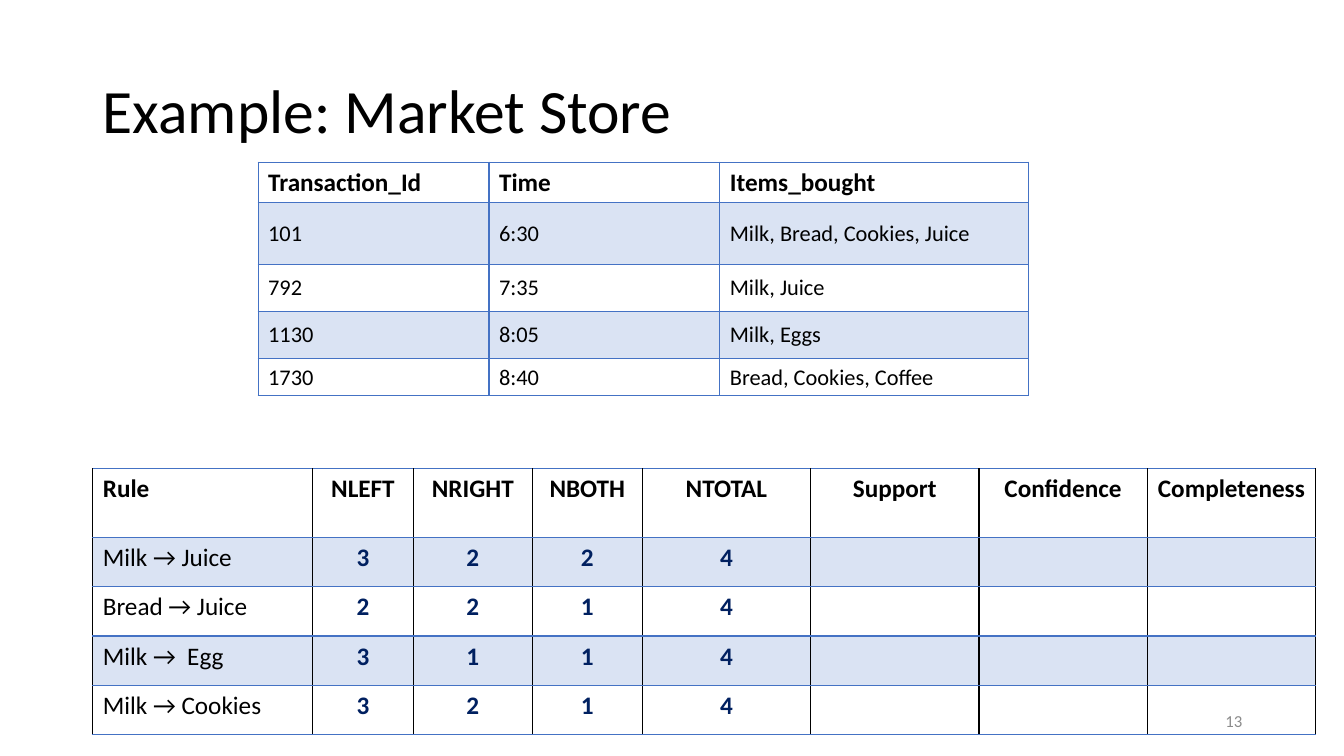
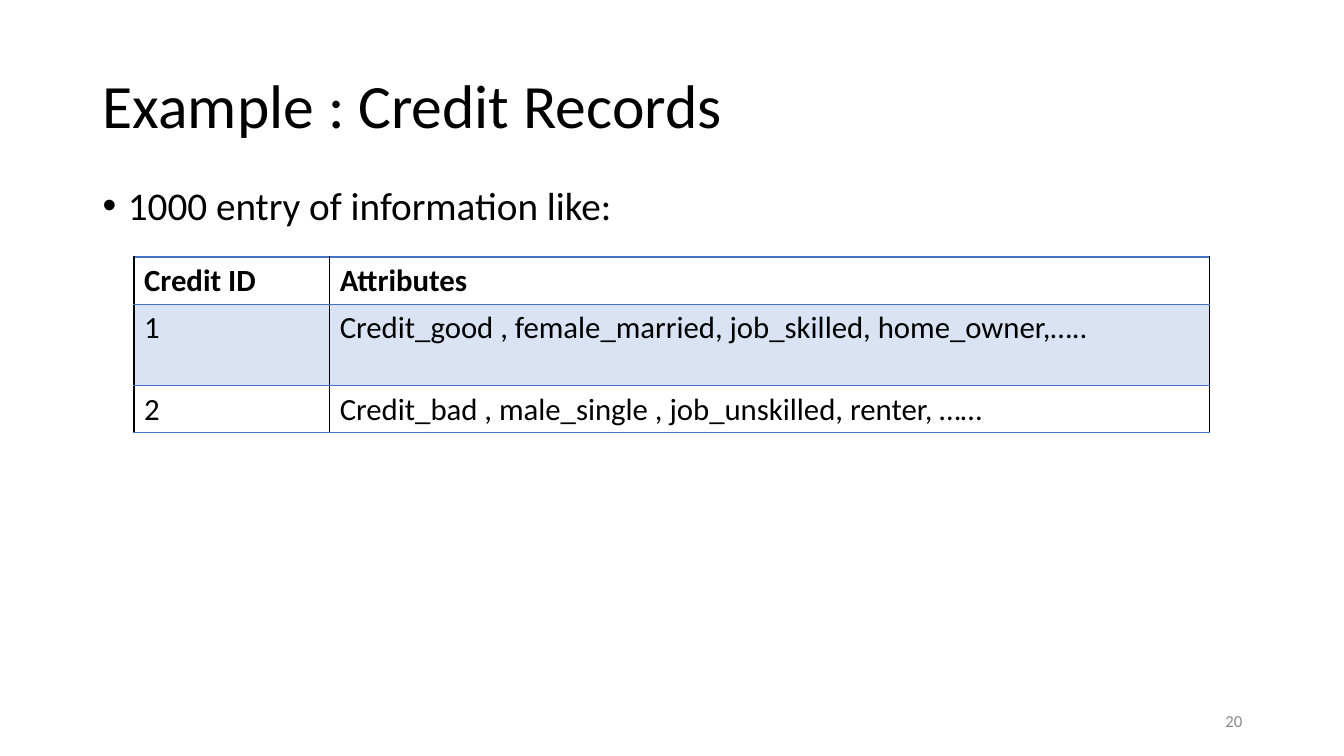
from dataclasses import dataclass

from lxml.etree import SubElement
from pptx import Presentation
from pptx.dml.color import RGBColor
from pptx.enum.text import MSO_ANCHOR, PP_ALIGN
from pptx.oxml.ns import qn
from pptx.util import Inches, Pt


@dataclass(frozen=True)
class Theme:
    font: str = "Calibri"
    ink: str = "000000"
    accent: str = "4472C4"
    band: str = "DAE3F3"
    count: str = "002060"
    muted: str = "8B8B8B"
    title_size: int = 44
    body_size: int = 28
    number_size: int = 12
    border: float = 0.96


theme = Theme()


def add_text(slide, text, box, size, color=theme.ink, align=PP_ALIGN.LEFT,
             anchor=MSO_ANCHOR.MIDDLE, spacing=None, bullet=None):
    frame = slide.shapes.add_textbox(*map(Inches, box)).text_frame
    frame.word_wrap = True
    frame.vertical_anchor = anchor
    paragraph = frame.paragraphs[0]
    paragraph.text = text
    paragraph.alignment = align
    paragraph.line_spacing = spacing
    if bullet:
        properties = paragraph._p.get_or_add_pPr()
        properties.set("marL", str(Inches(0.25)))
        properties.set("indent", str(-Inches(0.25)))
        SubElement(properties, qn("a:buFont"), typeface="Arial")
        SubElement(properties, qn("a:buChar"), char=bullet)
    paragraph.font.name = theme.font
    paragraph.font.size = Pt(size)
    paragraph.font.color.rgb = RGBColor.from_string(color)


def add_data_table(slide, left, top, widths, heights, rows, head_size, size,
                   anchor=MSO_ANCHOR.TOP, divider=theme.ink, counts=False):
    """Add a banded table; counts centres and emphasises all but the first column."""
    table = slide.shapes.add_table(
        len(rows), len(widths), Inches(left), Inches(top),
        Inches(sum(widths)), Inches(sum(heights))).table
    table.first_row = table.horz_banding = False
    for column, width in zip(table.columns, widths):
        column.width = Inches(width)
    for r, (row, height) in enumerate(zip(rows, heights)):
        table.rows[r].height = Inches(height)
        for c, text in enumerate(row):
            cell = table.cell(r, c)
            cell.vertical_anchor = anchor
            # Borders go ahead of the fill
            for edge, color in (("lnL", divider), ("lnR", divider),
                                ("lnT", theme.accent), ("lnB", theme.accent)):
                line = SubElement(cell._tc.get_or_add_tcPr(), qn(f"a:{edge}"),
                                  w=str(Pt(theme.border)))
                SubElement(SubElement(line, qn("a:solidFill")),
                           qn("a:srgbClr"), val=color)
            if r % 2:
                cell.fill.solid()
                cell.fill.fore_color.rgb = RGBColor.from_string(theme.band)
            else:
                cell.fill.background()
            is_head, is_count = r == 0, counts and c > 0
            paragraph = cell.text_frame.paragraphs[0]
            paragraph.text = text
            paragraph.alignment = PP_ALIGN.CENTER if is_count else PP_ALIGN.LEFT
            paragraph.font.name = theme.font
            paragraph.font.size = Pt(head_size if is_head else size)
            paragraph.font.bold = is_head or is_count
            paragraph.font.color.rgb = RGBColor.from_string(
                theme.count if is_count and not is_head else theme.ink)


deck = Presentation()
deck.slide_width, deck.slide_height = Inches(13.33), Inches(7.5)

# Titles
slides = []
for title, title_top in (("Example: Market Store", 0.4),
                         ("Example : Credit Records", 0.35)):
    slide = deck.slides.add_slide(deck.slide_layouts[6])
    add_text(slide, title, (0.92, title_top, 11.5, 1.45), theme.title_size, spacing=0.9)
    slides.append(slide)
market, credit = slides

# Market store: rule counts, with the measures left to fill in
unfilled = ("", "", "")
rules = [
    ("Rule", "NLEFT", "NRIGHT", "NBOTH", "NTOTAL", "Support", "Confidence", "Completeness"),
    ("Milk → Juice", "3", "2", "2", "4", *unfilled),
    ("Bread → Juice", "2", "2", "1", "4", *unfilled),
    ("Milk →  Egg", "3", "1", "1", "4", *unfilled),
    ("Milk → Cookies", "3", "2", "1", "4", *unfilled),
]
add_data_table(market, 0.92, 4.65, [2.18, 1, 1.18, 1.09] + [1.67] * 4,
               [0.68] + [0.49] * 4, rules, 18, 18, counts=True)

# Market store: transactions
transactions = [
    ("Transaction_Id", "Time", "Items_bought"),
    ("101", "6:30", "Milk, Bread, Cookies, Juice"),
    ("792", "7:35", "Milk, Juice"),
    ("1130", "8:05", "Milk, Eggs"),
    ("1730", "8:40", "Bread, Cookies, Coffee"),
]
add_data_table(market, 2.56, 1.61, [2.29, 2.29, 3.06], [0.39, 0.61, 0.47, 0.47, 0.36],
               transactions, 18, 16, MSO_ANCHOR.MIDDLE, divider=theme.accent)

# Credit records
add_text(credit, "1000 entry of information like:", (0.92, 1.8, 11.5, 4.76),
         theme.body_size, anchor=MSO_ANCHOR.TOP, spacing=0.9, bullet="•")
records = [
    ("Credit ID", "Attributes"),
    ("1", "Credit_good , female_married, job_skilled, home_owner,….."),
    ("2", "Credit_bad , male_single , job_unskilled, renter, ……"),
]
add_data_table(credit, 1.33, 2.55, [1.94, 8.73], [0.46, 0.81, 0.46], records, 22, 22)

# Slide numbers
for slide, number in zip(slides, ("13", "20")):
    add_text(slide, number, (9.42, 6.95, 3, 0.4), theme.number_size, theme.muted,
             PP_ALIGN.RIGHT)

deck.save("out.pptx")
